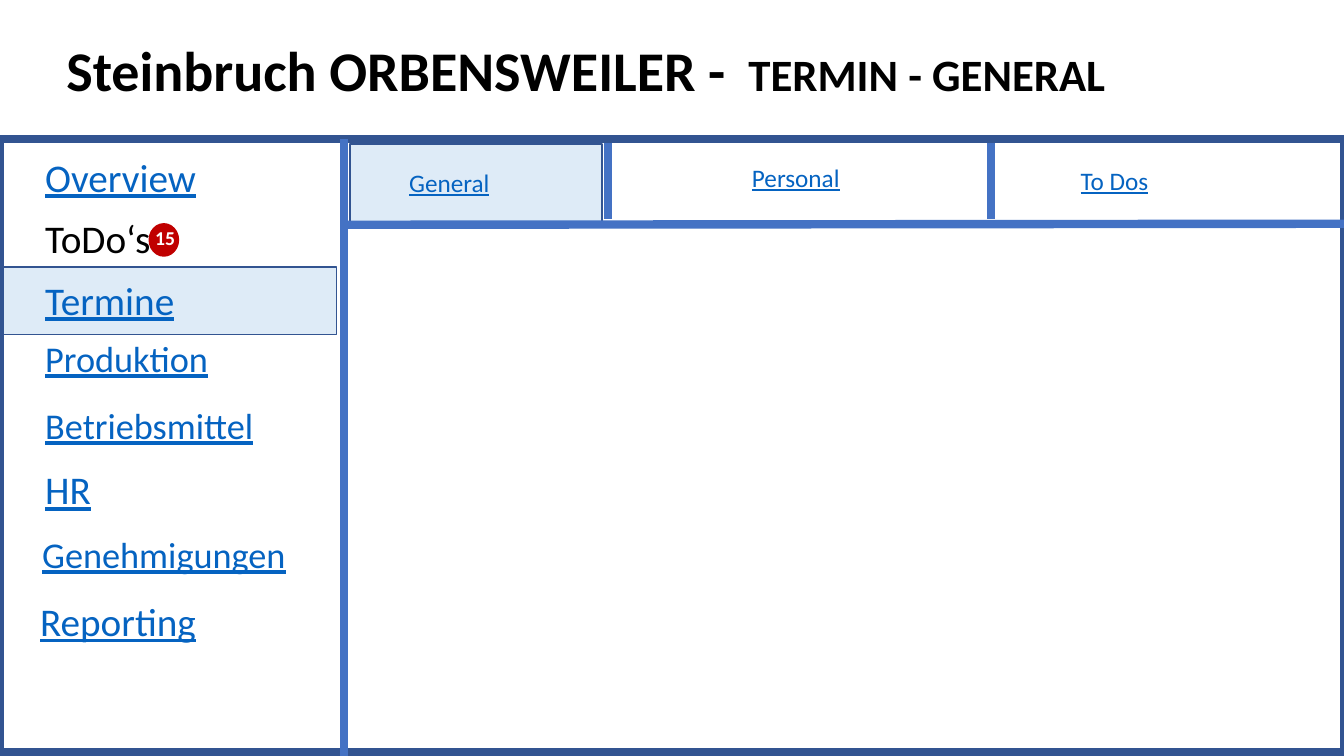
from dataclasses import dataclass

from lxml.etree import SubElement
from pptx import Presentation
from pptx.dml.color import RGBColor
from pptx.enum.shapes import MSO_CONNECTOR as CONN, MSO_SHAPE as SHAPE
from pptx.enum.text import MSO_ANCHOR as ANCHOR, MSO_AUTO_SIZE as AUTO
from pptx.oxml.ns import qn
from pptx.util import Pt

PX = 9144  # EMU in one px, 100 px to the inch


@dataclass(frozen=True)
class Theme:
    font: str = "Calibri"
    black: str = "000000"
    white: str = "FFFFFF"
    link: str = "0563C1"
    frame: str = "325491"
    divider: str = "4472C4"
    active: str = "DEEBF7"
    alert: str = "C00000"
    title: float = 40
    subtitle: float = 32
    menu: float = 28
    menu_small: float = 25.9
    tab: float = 18
    badge: float = 14
    thin: float = 1
    thick: float = 6


class Page:
    def __init__(self, prs, theme):
        self.theme = theme
        self.shapes = prs.slides.add_slide(prs.slide_layouts[6]).shapes

    def shape(self, kind, box, fill, line, weight):
        sp = self.shapes.add_shape(kind, *(v * PX for v in box))
        sp.shadow.inherit = False
        if fill:
            sp.fill.solid()
            sp.fill.fore_color.rgb = RGBColor.from_string(fill)
        else:
            sp.fill.background()
        sp.line.color.rgb = RGBColor.from_string(line)
        sp.line.width = Pt(weight)

    def divider(self, *ends):
        cx = self.shapes.add_connector(CONN.STRAIGHT, *(v * PX for v in ends))
        cx.line.color.rgb = RGBColor.from_string(self.theme.divider)
        cx.line.width = Pt(self.theme.thick)
        SubElement(cx._element.spPr, qn("a:effectLst"))

    def text(self, box, runs, color, frame=None, para=None, **font):
        """Add one paragraph of (text, size) runs; frame, para and font are format values."""
        tf = self.shapes.add_textbox(*(v * PX for v in box)).text_frame
        p = tf.paragraphs[0]
        self.apply(tf, {"word_wrap": True, **(frame or {})})
        self.apply(p, para or {})
        for text, size in runs:
            r = p.add_run()
            r.text = text
            self.apply(r.font, {"name": self.theme.font, "size": Pt(size), **font})
            r.font.color.rgb = RGBColor.from_string(color)

    @staticmethod
    def apply(target, values):
        for name, value in values.items():
            setattr(target, name, value)


def main():
    prs = Presentation()
    prs.slide_width, prs.slide_height = 1333 * PX, 750 * PX
    t = Theme()
    s = Page(prs, t)

    s.shape(SHAPE.RECTANGLE, (-2, 265, 336, 67), t.active, t.frame, t.thin)
    s.text((56, 0, 1150, 145),
           [("Steinbruch ORBENSWEILER - ", t.title), (" TERMIN - GENERAL", t.subtitle)],
           t.black, {"vertical_anchor": ANCHOR.MIDDLE}, {"line_spacing": 0.9}, bold=True)
    s.shape(SHAPE.RECTANGLE, (0, 138, 1333, 608), None, t.frame, t.thick)
    s.divider(341, 138, 341, 750)

    menu = [
        ("Overview", (35, 156, 198, 50), t.menu, 0.8),
        ("ToDo‘s", (35, 217, 198, 50), t.menu, 0.8),
        ("Termine", (35, 278, 198, 50), t.menu, 0.8),
        ("Produktion", (35, 337, 198, 48), t.menu_small, 0.8),
        ("Betriebsmittel", (35, 400, 236, 54), t.menu_small, 0.9),
        ("HR", (35, 466, 198, 50), t.menu, 0.8),
        ("Genehmigungen", (32, 528, 269, 84), t.menu_small, 0.9),
        ("Reporting", (30, 593, 236, 54), t.menu, 0.9),
    ]
    for label, box, size, spacing in menu:
        linked = label != "ToDo‘s"
        s.text(box, [(label, size)], t.link if linked else t.black,
               para={"line_spacing": spacing, "space_before": Pt(10)}, underline=linked)

    s.shape(SHAPE.OVAL, (148, 222, 29, 32), t.alert, t.alert, t.thin)
    s.text((144, 222, 45, 32), [("15", t.badge)], t.white,
           para={"line_spacing": 0.9, "space_before": Pt(10)}, bold=True)

    s.shape(SHAPE.RECTANGLE, (347, 143, 250, 83), t.active, t.frame, t.thin)
    tabs = [
        ("General", (396, 161, 667, 40), True),
        ("Personal", (736, 156, 108, 40), False),
        ("To Dos", (1062, 159, 88, 40), False),
    ]
    for label, box, wrap in tabs:
        s.text(box, [(label, t.tab)], t.link,
               {"word_wrap": wrap, "auto_size": AUTO.SHAPE_TO_FIT_TEXT}, underline=True)
    for x in (603, 983):
        s.divider(x, 217, x, 142)
    s.divider(1333, 222, 341, 223)

    prs.save("out.pptx")


if __name__ == "__main__":
    main()
